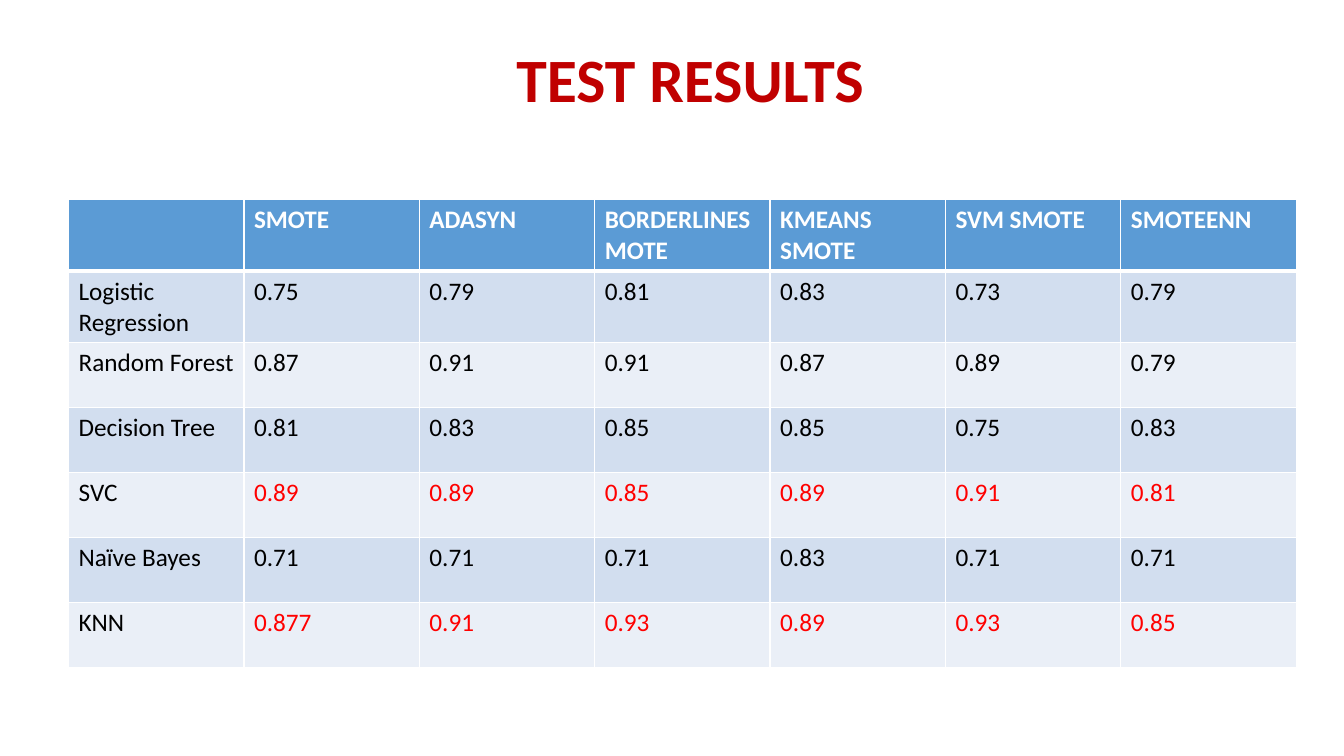
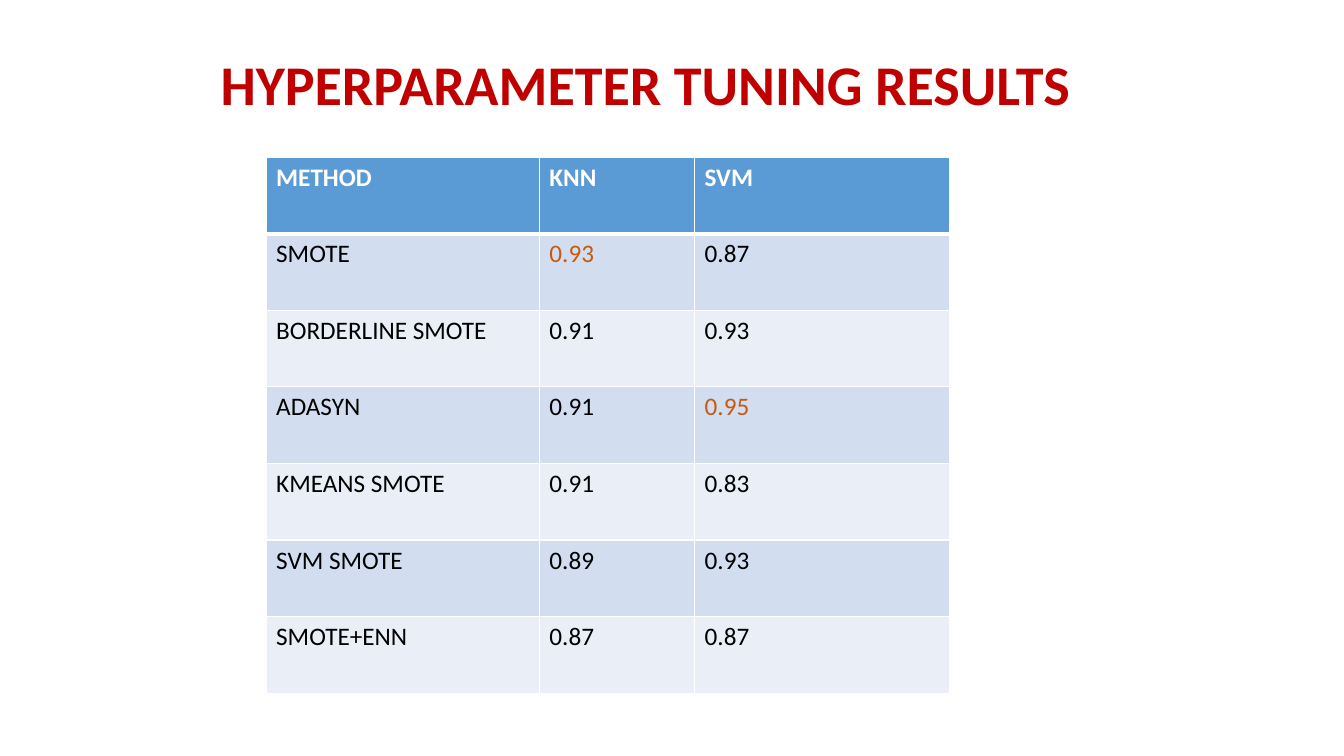
from lxml import etree
from pptx import Presentation
from pptx import util as u
from pptx.dml.color import RGBColor
from pptx.enum import text
from pptx.oxml.ns import qn

# Shared look
FONT = "Calibri"
CRIMSON = RGBColor(0xC0, 0x00, 0x00)
BLUE = RGBColor(0x5B, 0x9B, 0xD5)
BANDS = [RGBColor(0xEA, 0xEF, 0xF7), RGBColor(0xD2, 0xDE, 0xEF)]
WHITE = RGBColor(0xFF, 0xFF, 0xFF)
BLACK = RGBColor(0x00, 0x00, 0x00)
RED = RGBColor(0xFF, 0x00, 0x00)
RUST = RGBColor(0xC5, 0x5A, 0x11)

deck = Presentation()
deck.slide_width, deck.slide_height = u.Inches(13.33), u.Inches(7.5)

# Grid of 100 columns by 100 rows
COL, ROW = deck.slide_width / 100, deck.slide_height / 100


def style(para, size, color, bold):
    font = para.font
    font.name, font.size, font.bold = FONT, u.Pt(size), bold
    font.color.rgb = color


def edge(cell, side, width):
    line = etree.SubElement(cell._tc.get_or_add_tcPr(), qn("a:ln" + side),
                            w=str(u.Pt(width)))
    fill = etree.SubElement(line, qn("a:solidFill"))
    etree.SubElement(fill, qn("a:srgbClr"), val=str(WHITE))


# Content: boxes and widths in grid units, marks as (row, column)
pages = [
    dict(
        title="TEST RESULTS", size=44, space=1.0, box=(6.3, 4.67, 90.1, 11.2),
        left=5.1, top=26.4, wide=[13.05] * 7, high=8.6,
        tint=RED, marks={(r, c) for r in (4, 6) for c in range(1, 7)},
        rows=[
            ["", "SMOTE", "ADASYN", "BORDERLINESMOTE", "KMEANS SMOTE",
             "SVM SMOTE", "SMOTEENN"],
            ["Logistic Regression", "0.75", "0.79", "0.81", "0.83", "0.73", "0.79"],
            ["Random Forest", "0.87", "0.91", "0.91", "0.87", "0.89", "0.79"],
            ["Decision Tree", "0.81", "0.83", "0.85", "0.85", "0.75", "0.83"],
            ["SVC", "0.89", "0.89", "0.85", "0.89", "0.91", "0.81"],
            ["Naïve Bayes", "0.71", "0.71", "0.71", "0.83", "0.71", "0.71"],
            ["KNN", "0.877", "0.91", "0.93", "0.89", "0.93", "0.85"],
        ]),
    dict(
        title="HYPERPARAMETER TUNING RESULTS", size=40, space=0.9,
        box=(1.58, 6, 92.87, 11.07),
        left=19.8, top=20.8, wide=[20.33, 11.55, 18.97], high=10.13,
        tint=RUST, marks={(1, 1), (3, 2)},
        rows=[
            ["METHOD", "KNN", "SVM"],
            ["SMOTE", "0.93", "0.87"],
            ["BORDERLINE SMOTE", "0.91", "0.93"],
            ["ADASYN", "0.91", "0.95"],
            ["KMEANS SMOTE", "0.91", "0.83"],
            ["SVM SMOTE", "0.89", "0.93"],
            ["SMOTE+ENN", "0.87", "0.87"],
        ]),
]

for page in pages:
    slide = deck.slides.add_slide(deck.slide_layouts[5])

    # Title
    title = slide.shapes.title
    x, y, w, h = page["box"]
    title.left, title.top = int(x * COL), int(y * ROW)
    title.width, title.height = int(w * COL), int(h * ROW)
    frame = title.text_frame
    frame.text = page["title"]
    frame.auto_size = text.MSO_AUTO_SIZE.NONE
    frame.vertical_anchor = text.MSO_ANCHOR.MIDDLE
    head = frame.paragraphs[0]
    head.alignment = text.PP_ALIGN.CENTER
    head.line_spacing = page["space"]
    style(head, page["size"], CRIMSON, True)

    # Table frame
    rows, wide, high = page["rows"], page["wide"], page["high"]
    table = slide.shapes.add_table(
        len(rows), len(wide), int(page["left"] * COL), int(page["top"] * ROW),
        int(sum(wide) * COL), int(len(rows) * high * ROW)).table
    for column, share in zip(table.columns, wide):
        column.width = int(share * COL)

    # Cells: blue header, then alternating bands
    for r, row in enumerate(rows):
        table.rows[r].height = int(high * ROW)
        for c, word in enumerate(row):
            cell = table.cell(r, c)
            cell.text = word
            for side in "LRTB":
                thick = (r, side) in ((0, "B"), (1, "T"))
                edge(cell, side, 3 if thick else 1)
            cell.fill.solid()
            cell.fill.fore_color.rgb = BANDS[r % 2] if r else BLUE
            color = page["tint"] if (r, c) in page["marks"] else BLACK
            style(cell.text_frame.paragraphs[0], 18, color if r else WHITE, r == 0)

deck.save("out.pptx")
